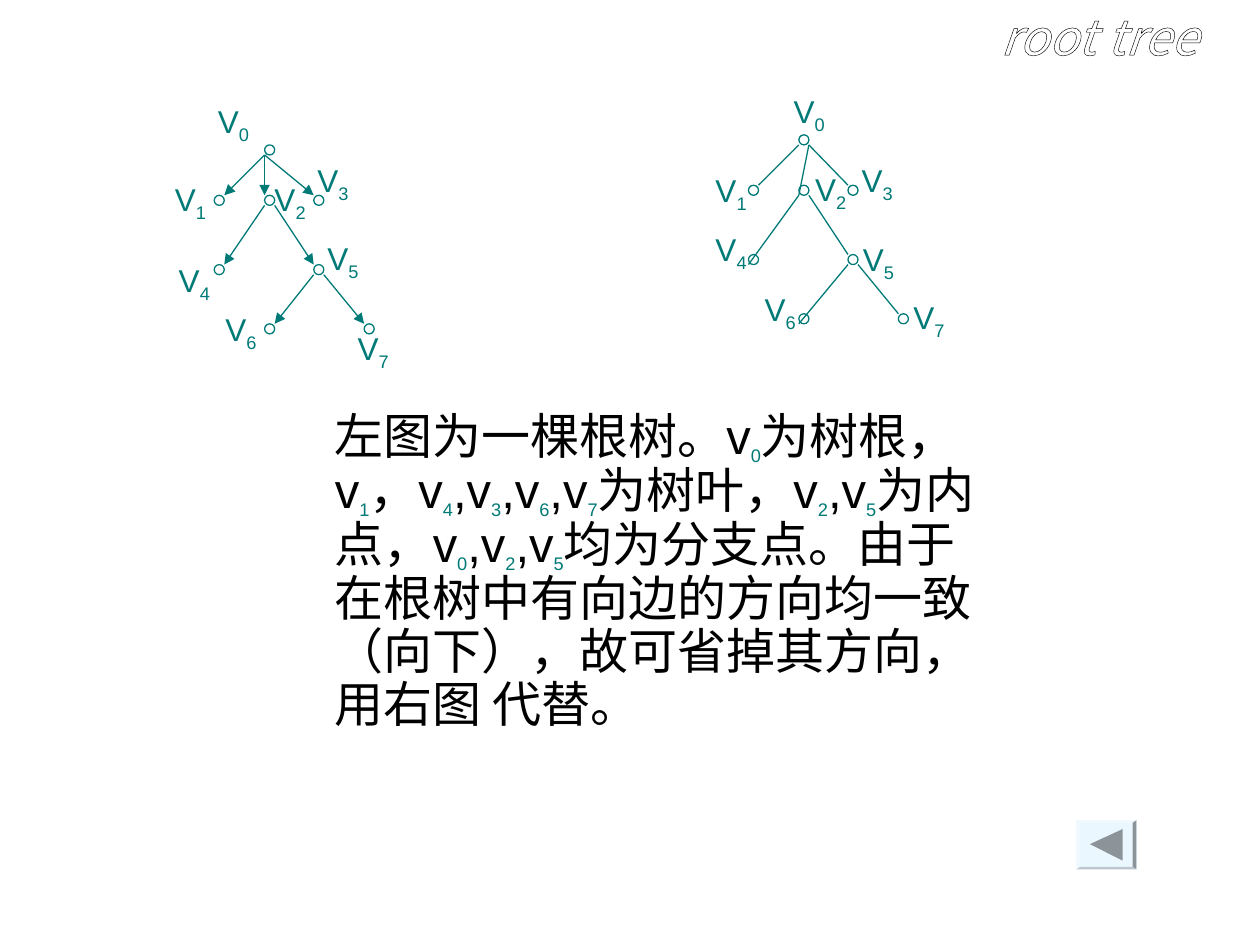
from itertools import groupby

from lxml import etree
from pptx import Presentation
from pptx.dml.color import RGBColor
from pptx.enum import shapes, text
from pptx.oxml.ns import qn
from pptx.util import Inches, Pt

TEAL = RGBColor(0x00, 0x7A, 0x77)
BLACK = RGBColor(0, 0, 0)
WHITE = RGBColor(0xFF, 0xFF, 0xFF)
FACE = RGBColor(0xEB, 0xF7, 0xFF)
LIGHT = RGBColor(0xEF, 0xF9, 0xFF)
SHADE = RGBColor(0xBC, 0xC6, 0xCC)
DARK = RGBColor(0x8D, 0x94, 0x99)
LATIN, CJK = "Arial", "Noto Sans CJK SC"

# Content: every digit is a subscript
TITLE = "root tree"
BODY = ("左图为一棵根树。v0为树根，v1，v4,v3,v6,v7为树叶，v2,v5为内点，v0,v2,v5"
        "均为分支点。由于在根树中有向边的方向均一致（向下），故可省掉其方向，用右图 代替。")
BODY_STYLE = {"size": Pt(28), "name": LATIN, "color": BLACK}
LABEL_STYLE = {"size": Pt(18), "name": LATIN, "color": TEAL}
TITLE_STYLE = {"size": Pt(28), "name": CJK, "color": WHITE, "italic": True}

# Both trees share node offsets from the root, numbered V0 to V7
NODE = 0.08
OFFSETS = [(0, 0), (-0.4, 0.4), (0, 0.4), (0.39, 0.4),
           (-0.4, 0.95), (0.39, 0.95), (0, 1.42), (0.79, 1.42)]
CORNERS = {"LT": (0, 0), "RT": (NODE, 0), "LB": (0, NODE), "RB": (NODE, NODE)}
# Edges: parent, its corner, child, its corner
SHARED_EDGES = [(0, "LB", 1, "RT"), (2, "RB", 5, "LT"), (5, "RB", 7, "LT")]
TREES = [
    {"root": (2.1, 1.15), "directed": True,
     "edges": [(0, "LB", 2, "LT"), (0, "LB", 3, "LT"),
               (2, "LB", 4, "RT"), (5, "LB", 6, "RT")],
     "labels": [(1.63, 0.76), (1.29, 1.38), (2.08, 1.38), (2.42, 1.23),
                (1.32, 2.02), (2.5, 1.85), (1.69, 2.41), (2.74, 2.56)]},
    {"root": (6.34, 1.07), "directed": False,
     "edges": [(0, "RB", 2, "LB"), (0, "RB", 3, "LT"),
               (2, "LB", 4, "LB"), (5, "LB", 6, "LB")],
     "labels": [(6.2, 0.68), (5.58, 1.31), (6.37, 1.3), (6.74, 1.23),
                (5.58, 1.78), (6.75, 1.86), (5.97, 2.25), (7.15, 2.32)]},
]

deck = Presentation()
deck.slide_width, deck.slide_height = Inches(10), Inches(7.5)
page = deck.slides.add_slide(deck.slide_layouts[6])


def add_span(para, words, style, subscript=False):
    span = para.add_run()
    span.text = words
    for key, value in style.items():
        if key == "color":
            span.font.color.rgb = value
        else:
            setattr(span.font, key, value)
    props = span.font._element
    etree.SubElement(props, qn("a:ea")).set("typeface", CJK)
    if subscript:
        props.set("baseline", "-25000")
    return span


def add_text(area, words, style, wrap=False):
    box = page.shapes.add_textbox(*map(Inches, area))
    box.text_frame.word_wrap = wrap
    para = box.text_frame.paragraphs[0]
    for is_digit, chars in groupby(words, str.isdigit):
        add_span(para, "".join(chars), LABEL_STYLE if is_digit else style, is_digit)
    return box


def add_edge(start, end, directed):
    edge = page.shapes.add_connector(
        shapes.MSO_CONNECTOR.STRAIGHT, *map(Inches, (*start, *end)))
    edge.line.color.rgb = TEAL
    edge.line.width = Pt(0.75)
    if directed:
        line = edge.line._get_or_add_ln()
        etree.SubElement(line, qn("a:tailEnd")).set("type", "triangle")
    etree.SubElement(edge._element.spPr, qn("a:effectLst"))


def add_tree(root, directed, edges, labels):
    nodes = [(root[0] + dx, root[1] + dy) for dx, dy in OFFSETS]

    def corner(number, name):
        return tuple(a + b for a, b in zip(nodes[number], CORNERS[name]))

    for x, y in nodes:
        node = page.shapes.add_shape(
            shapes.MSO_SHAPE.FLOWCHART_CONNECTOR, *map(Inches, (x, y, NODE, NODE)))
        node.shadow.inherit = False
        node.fill.solid()
        node.fill.fore_color.rgb = WHITE
        node.line.color.rgb = TEAL
        node.line.width = Pt(0.75)
    for parent, start, child, end in SHARED_EDGES + edges:
        add_edge(corner(parent, start), corner(child, end), directed)
    for number, (x, y) in enumerate(labels):
        width = 0.45 if number in (0, 5, 7) else 0.51
        box = add_text((x, y, width, 0.44), f"V{number}", LABEL_STYLE)
        box.text_frame.auto_size = text.MSO_AUTO_SIZE.SHAPE_TO_FIT_TEXT


def add_polygon(points, color):
    builder = page.shapes.build_freeform(
        *map(Inches, points[0]), scale=1.0)
    builder.add_line_segments([tuple(map(Inches, p)) for p in points[1:]], close=True)
    part = builder.convert_to_shape()
    part.shadow.inherit = False
    part.fill.solid()
    part.fill.fore_color.rgb = color
    part.line.fill.background()


def rectangle(left, top, right, bottom):
    return [(left, top), (right, top), (right, bottom), (left, bottom)]


# Title in outlined letters
title = add_text((7.84, 0, 1.78, 0.52), TITLE, TITLE_STYLE)
outline = etree.Element(qn("a:ln"), w=str(Pt(0.75)))
ink = etree.SubElement(outline, qn("a:solidFill"))
etree.SubElement(ink, qn("a:srgbClr")).set("val", str(BLACK))
title.text_frame.paragraphs[0].runs[0].font._element.insert(0, outline)

# Back button: face, four bevelled edges, arrow
outer = rectangle(8.54, 6.51, 9.02, 6.9)
inner = rectangle(8.57, 6.53, 8.99, 6.88)
add_polygon(outer, FACE)
for side, color in enumerate([LIGHT, DARK, SHADE, LIGHT]):
    after = (side + 1) % 4
    add_polygon([outer[side], outer[after], inner[after], inner[side]], color)
add_polygon([(8.65, 6.7), (8.91, 6.58), (8.91, 6.83)], DARK)

# Explanation
body = add_text((2.56, 3.21, 5.47, 2.86), BODY, BODY_STYLE, wrap=True)
body.text_frame.paragraphs[0].line_spacing = 0.9

# Trees
for tree in TREES:
    add_tree(**tree)

deck.save("out.pptx")
